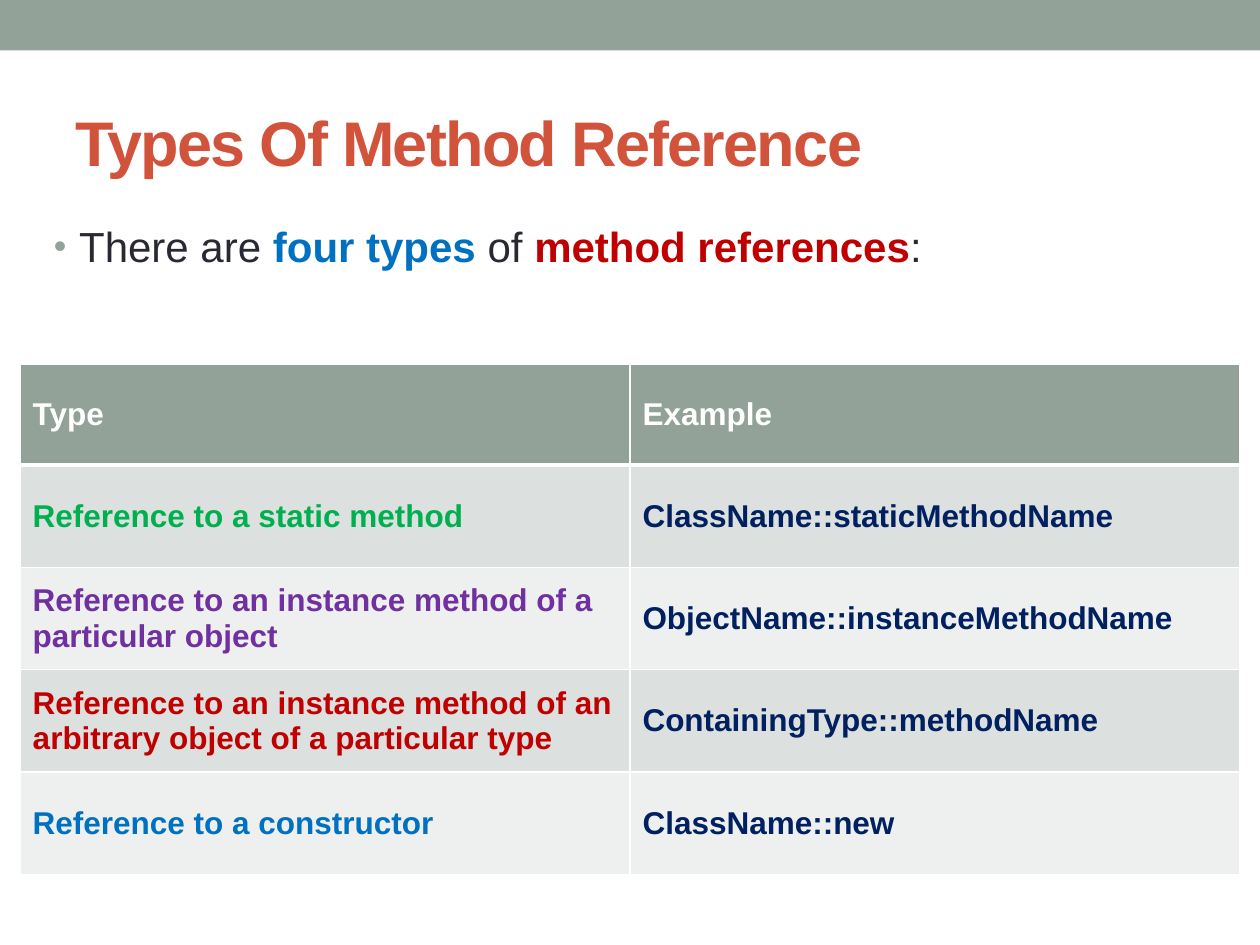
from dataclasses import dataclass

from lxml import etree
from pptx import Presentation
from pptx import util as u
from pptx.dml.color import RGBColor
from pptx.enum import shapes, text
from pptx.oxml import ns

PX = u.Inches(1) // 100  # one px is a hundredth of an inch
FONT = "Arial"
COLORS = {
    "sage": "93A299", "white": "FFFFFF", "ink": "292934", "rust": "D2533C",
    "blue": "0070C0", "red": "C00000", "green": "00B050", "purple": "7030A0",
    "navy": "002060", "band_dark": "DCE0DE", "band_light": "EEF0EF",
}


@dataclass(frozen=True)
class Area:
    left: int
    top: int
    width: int
    height: int

    def emu(self) -> list[int]:
        return [n * PX for n in (self.left, self.top, self.width, self.height)]


@dataclass(frozen=True)
class MethodKind:
    label: str
    color: str
    example: str


KINDS = [
    MethodKind("Reference to a static method", "green", "ClassName::staticMethodName"),
    MethodKind("Reference to an instance method of a particular object", "purple",
               "ObjectName::instanceMethodName"),
    MethodKind("Reference to an instance method of an arbitrary object of a particular type",
               "red", "ContainingType::methodName"),
    MethodKind("Reference to a constructor", "blue", "ClassName::new"),
]


def rgb(name: str) -> RGBColor:
    return RGBColor.from_string(COLORS[name])


def add_element(parent, tag: str, **attributes: str):
    return etree.SubElement(parent, ns.qn(tag), attributes)


def add_text(para, words: str, *, size: int, color: str, bold: bool = False,
             spacing: int = 0) -> None:
    span = para.add_run()
    span.text = words
    span.font.name, span.font.size, span.font.bold = FONT, u.Pt(size), bold
    span.font.color.rgb = rgb(color)
    if spacing:
        span.font._element.set("spc", str(spacing))


def add_box(page, area: Area, anchor):
    frame = page.shapes.add_textbox(*area.emu()).text_frame
    frame.word_wrap = True
    frame.vertical_anchor = anchor
    return frame


def add_bullet(para, color: str, indent: int) -> None:
    props = para._p.get_or_add_pPr()
    props.set("marL", str(indent * PX))
    props.set("indent", str(-indent * PX))
    add_element(add_element(props, "a:buClr"), "a:srgbClr", val=COLORS[color])
    add_element(props, "a:buSzPct", val="85000")
    add_element(props, "a:buFont", typeface=FONT)
    add_element(props, "a:buChar", char="•")


def fill_cell(cell, words: str, *, color: str, fill: str, top: int = 1, bottom: int = 1) -> None:
    props = cell._tc.get_or_add_tcPr()
    for side, points in (("L", 1), ("R", 1), ("T", top), ("B", bottom)):
        line = add_element(props, f"a:ln{side}", w=str(u.Pt(points)))
        add_element(add_element(line, "a:solidFill"), "a:srgbClr", val=COLORS["white"])
    cell.fill.solid()
    cell.fill.fore_color.rgb = rgb(fill)
    cell.vertical_anchor = text.MSO_ANCHOR.MIDDLE
    add_text(cell.text_frame.paragraphs[0], words, size=18, color=color, bold=True)


def add_kinds_table(page, area: Area, header_height: int) -> None:
    table = page.shapes.add_table(len(KINDS) + 1, 2, *area.emu()).table
    for column in table.columns:
        column.width = area.width * PX // 2
    for row in table.rows:
        row.height = (area.height - header_height) * PX // len(KINDS)
    table.rows[0].height = header_height * PX

    for column, words in enumerate(("Type", "Example")):
        fill_cell(table.cell(0, column), words, color="white", fill="sage", bottom=3)
    for row, kind in enumerate(KINDS, 1):
        fill = "band_dark" if row % 2 else "band_light"
        top = 3 if row == 1 else 1
        fill_cell(table.cell(row, 0), kind.label, color=kind.color, fill=fill, top=top)
        fill_cell(table.cell(row, 1), kind.example, color="navy", fill=fill, top=top)


def main() -> None:
    deck = Presentation()
    deck.slide_width, deck.slide_height = 1000 * PX, 750 * PX
    page = deck.slides.add_slide(deck.slide_layouts[6])

    # Top band
    band = page.shapes.add_shape(shapes.MSO_SHAPE.RECTANGLE, *Area(0, 0, 1000, 40).emu())
    band.shadow.inherit = False
    band.fill.solid()
    band.fill.fore_color.rgb = rgb("sage")
    band.line.fill.background()

    # Title
    title = add_box(page, Area(50, 58, 900, 108), text.MSO_ANCHOR.MIDDLE)
    add_text(title.paragraphs[0], "Types Of Method Reference",
             size=36, color="rust", bold=True, spacing=-100)

    # Introduction
    intro = add_box(page, Area(33, 167, 930, 531), text.MSO_ANCHOR.TOP)
    intro.margin_top = 8 * PX
    para = intro.paragraphs[0]
    add_bullet(para, "sage", 20)
    for words, color in (("There are ", "ink"), ("four types ", "blue"), ("of ", "ink"),
                         ("method references", "red"), (":", "ink")):
        add_text(para, words, size=24, color=color, bold=color != "ink")

    # Table of method reference types
    add_kinds_table(page, Area(16, 289, 968, 405), header_height=80)

    deck.save("out.pptx")


if __name__ == "__main__":
    main()
